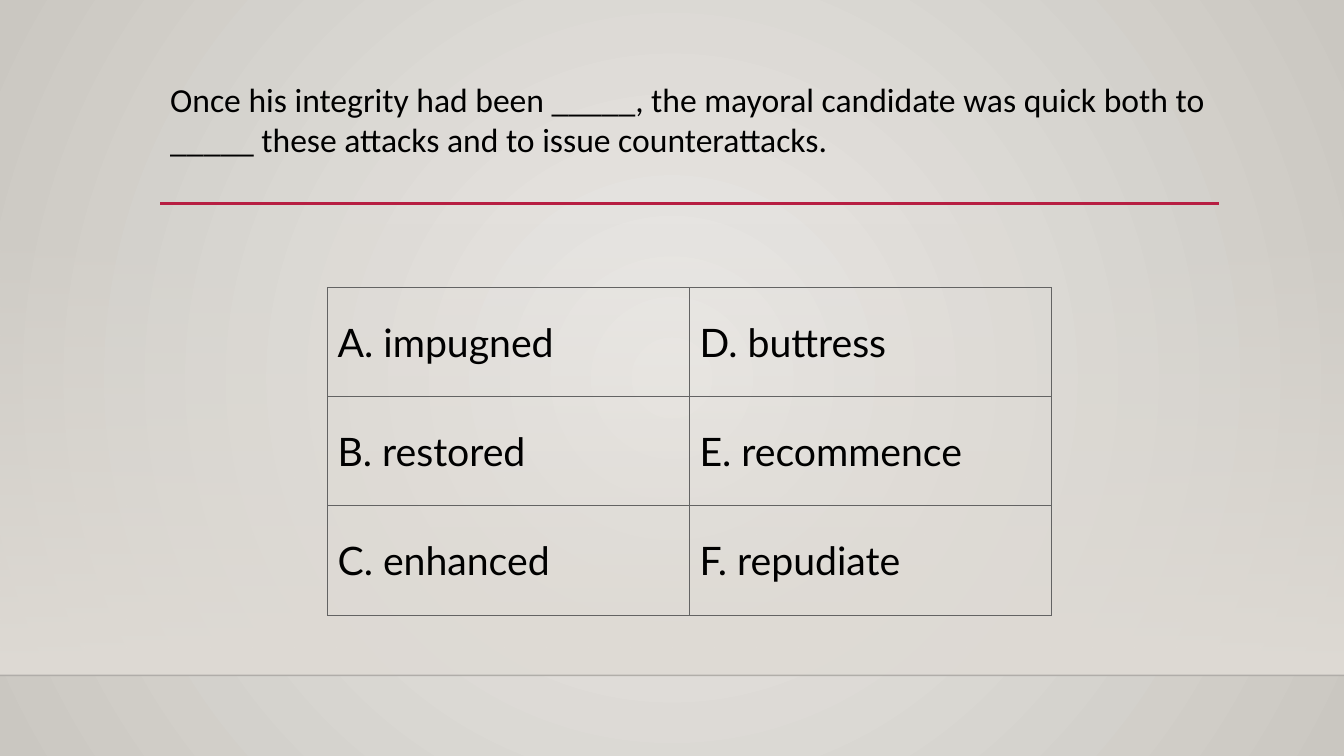
from lxml import etree
from pptx import Presentation
from pptx.dml.color import RGBColor
from pptx.enum.shapes import MSO_CONNECTOR, MSO_SHAPE
from pptx.enum.text import MSO_ANCHOR
from pptx.oxml import parse_xml
from pptx.oxml.ns import nsdecls, qn
from pptx.util import Pt

STRAIGHT = MSO_CONNECTOR.STRAIGHT
RECTANGLE = MSO_SHAPE.RECTANGLE
MIDDLE = MSO_ANCHOR.MIDDLE

QUESTION = (
    "Once his integrity had been _____, the mayoral candidate was quick both to "
    "_____ these attacks and to issue counterattacks."
)
CHOICES = [
    ("A. impugned", "D. buttress"),
    ("B. restored", "E. recommence"),
    ("C. enhanced", "F. repudiate"),
]
BACKDROP = ("ECEAE7", "CAC7C1")
WALL = ("DFDBD5", "DFDBD5")
BORDERS = {"lnL": 0.96, "lnR": 0.96, "lnT": 0.48, "lnB": 0.48}
WIDTH, HEIGHT = 960, 540
FLOOR_TOP = 482.4
MARGIN = 114.5


def rgb(value):
    return RGBColor.from_string(value)


def add_gradient(fill, colours):
    fill.gradient()
    for stop, colour, position in zip(fill.gradient_stops, colours, (0, 1)):
        stop.color.rgb = rgb(colour)
        stop.position = position


def set_alpha(colour, percent):
    etree.SubElement(colour, qn("a:alpha")).set("val", str(percent * 1000))


def add_rule(left, right, y, colour, weight):
    rule = slide.shapes.add_connector(STRAIGHT, Pt(left), Pt(y), Pt(right), Pt(y))
    rule.line.color.rgb = rgb(colour)
    rule.line.width = Pt(weight)
    etree.SubElement(rule._element.spPr, qn("a:effectLst"))
    return rule


def style_text(frame, text, font_name, size):
    frame.text = text
    font = frame.paragraphs[0].runs[0].font
    font.name = font_name
    font.size = Pt(size)
    font.color.rgb = rgb("000000")


def add_borders(cell):
    properties = cell._tc.get_or_add_tcPr()
    for side, weight in BORDERS.items():
        properties.append(parse_xml(
            f'<a:{side} {nsdecls("a")} w="{Pt(weight)}"><a:solidFill>'
            f'<a:srgbClr val="636363"/></a:solidFill></a:{side}>'
        ))


deck = Presentation()
deck.slide_width, deck.slide_height = Pt(WIDTH), Pt(HEIGHT)
slide = deck.slides.add_slide(deck.slide_layouts[6])

add_gradient(slide.background.fill, BACKDROP)
linear = slide.element.xpath("./p:cSld/p:bg//a:lin")[0]
linear.getparent().replace(linear, parse_xml(
    f'<a:path {nsdecls("a")} path="circle">'
    '<a:fillToRect l="50000" t="50000" r="50000" b="50000"/></a:path>'
))

wall = slide.shapes.add_shape(RECTANGLE, 0, Pt(159), Pt(WIDTH), Pt(FLOOR_TOP - 159))
wall.shadow.inherit = False
wall.line.fill.background()
add_gradient(wall.fill, WALL)
wall.fill.gradient_angle = 270
set_alpha(wall._element.xpath(".//a:gs/a:srgbClr")[0], 0)

floor_edge = add_rule(0, WIDTH, FLOOR_TOP, "000001", 1)
set_alpha(floor_edge._element.xpath(".//a:ln//a:srgbClr")[0], 20)
add_rule(MARGIN, 871, 145.5, "B71E42", 2.5)

choices = slide.shapes.add_table(
    len(CHOICES), 2, Pt(234), Pt(205.2), Pt(517), Pt(234)
).table
choices.first_row = choices.horz_banding = False
for row, answers in enumerate(CHOICES):
    for column, answer in enumerate(answers):
        cell = choices.cell(row, column)
        style_text(cell.text_frame, answer, "Lato", 28)
        cell.vertical_anchor = MIDDLE
        add_borders(cell)
        cell.fill.background()

question = slide.shapes.add_textbox(Pt(MARGIN), Pt(52.6), Pt(756), Pt(65.5))
question.text_frame.word_wrap = True
style_text(question.text_frame, QUESTION, "Calibri", 24)

deck.save("out.pptx")
